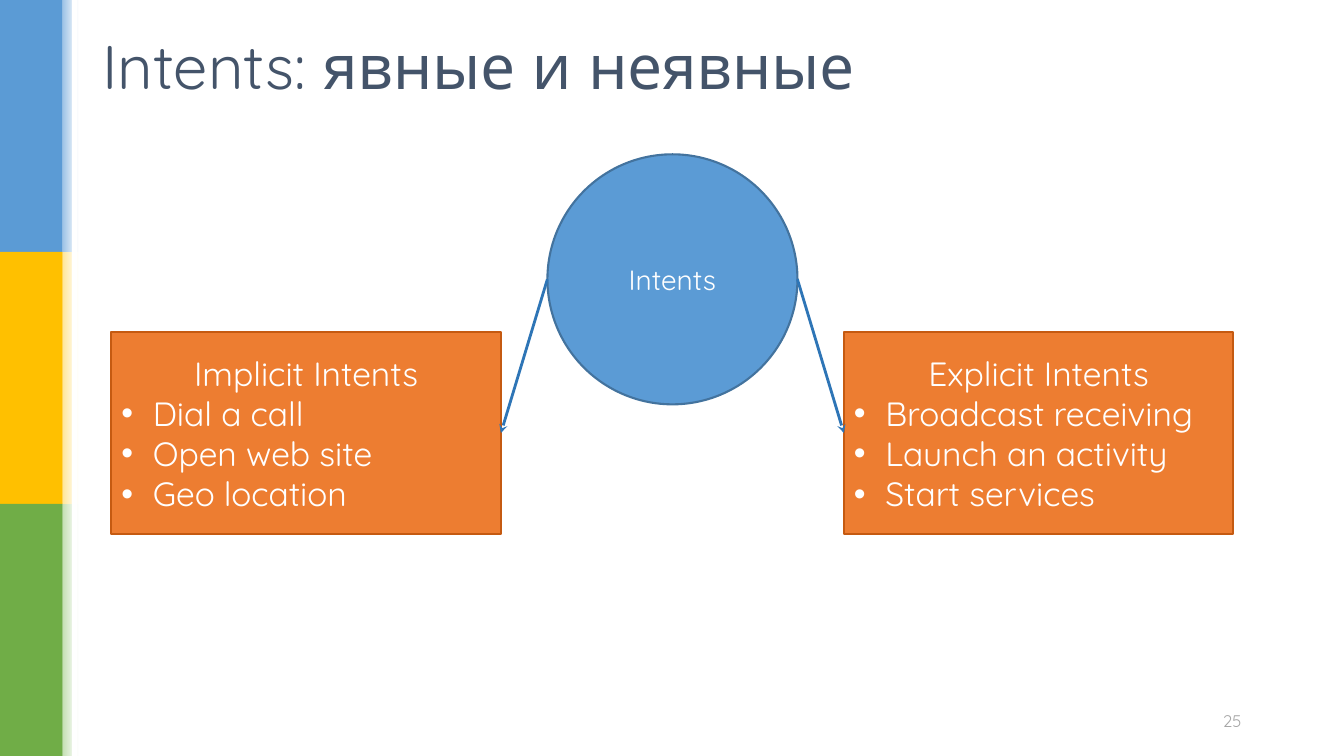
from lxml.etree import SubElement
from pptx import Presentation
from pptx.dml.color import RGBColor as Rgb
from pptx.enum.shapes import MSO_CONNECTOR as Connector, MSO_SHAPE as Shape
from pptx.enum.text import MSO_ANCHOR as Anchor, PP_ALIGN as Align
from pptx.oxml.ns import qn
from pptx.util import Pt

# Content
TITLE = "Intents: явные и неявные"
PAGE = "25"
HUB = "Intents"
KINDS = [
    ("Implicit Intents", ["Dial a call", "Open web site", "Geo location"]),
    ("Explicit Intents", ["Broadcast receiving", "Launch an activity", "Start services"]),
]
STRIPES = [("5B9BD5", "9DC3E6"), ("FFC000", "FFE699"), ("70AD47", "C5E0B4")]

THEME = {
    "font": "Quicksand",
    "white": "FFFFFF", "title": "44546A", "page": "A5A5A5",
    "hub": "5B9BD5", "hub_line": "43739E",
    "card": "ED7D31", "card_line": "C55A11", "arrow": "2E75B6",
    "title_size": 44, "card_size": 24, "hub_size": 20, "page_size": 12,
    "outline": 1.5, "arrow_width": 2,
}

# Geometry in points
WIDTH, HEIGHT = 960, 540
STRIPE_W, GLOW_W = 44.8, 11.5
HUB_X, HUB_Y, HUB_D = 391, 110.2, 178.6
CARD_Y, CARD_W, CARD_H = 237.4, 278.2, 143.8
CARD_GAP = 245
BULLET_INDENT = 22.5

deck = Presentation()
deck.slide_width, deck.slide_height = Pt(WIDTH), Pt(HEIGHT)
slide = deck.slides.add_slide(deck.slide_layouts[6])


def set_all(target, values):
    for name, value in values.items():
        setattr(target, name, value)


def color(name):
    return Rgb.from_string(THEME.get(name, name))


def add_block(kind, box, fill, line=None):
    block = slide.shapes.add_shape(kind, *map(Pt, box))
    block.shadow.inherit = False
    block.fill.solid()
    block.fill.fore_color.rgb = color(fill)
    if line:
        block.line.color.rgb = color(line)
        block.line.width = Pt(THEME["outline"])
    else:
        block.line.fill.background()
    return block


def write(holder, lines, size, ink, align, spacing=1.0):
    frame = holder.text_frame
    set_all(frame, {"word_wrap": True, "vertical_anchor": Anchor.MIDDLE})
    frame.text = "\n".join(lines)
    for paragraph in frame.paragraphs:
        set_all(paragraph, {"alignment": align, "line_spacing": spacing})
        set_all(paragraph.font, {"name": THEME["font"], "size": Pt(THEME[size])})
        paragraph.font.color.rgb = color(ink)
    return frame.paragraphs


def add_bullet(paragraph):
    paragraph.alignment = Align.LEFT
    props = paragraph._p.get_or_add_pPr()
    props.set("marL", str(Pt(BULLET_INDENT)))
    props.set("indent", str(-Pt(BULLET_INDENT)))
    font = props.find(qn("a:defRPr"))
    for tag, key, value in [("a:buFont", "typeface", "Arial"), ("a:buChar", "char", "•")]:
        bullet = SubElement(props, qn(tag))
        bullet.set(key, value)
        if font is not None:
            font.addprevious(bullet)


def add_arrow(start, end):
    arrow = slide.shapes.add_connector(Connector.STRAIGHT, *map(Pt, start + end))
    arrow.line.color.rgb = color("arrow")
    arrow.line.width = Pt(THEME["arrow_width"])
    SubElement(arrow.line._get_or_add_ln(), qn("a:tailEnd")).set("type", "stealth")
    SubElement(arrow._element.spPr, qn("a:effectLst"))


# Side stripes with a fading edge
stripe_h = HEIGHT / len(STRIPES)
for row, (solid, pale) in enumerate(STRIPES):
    top = row * stripe_h
    add_block(Shape.RECTANGLE, (0, top, STRIPE_W, stripe_h), solid)
    glow = add_block(Shape.RECTANGLE, (STRIPE_W, top, GLOW_W, stripe_h), pale)
    glow.fill.gradient()
    glow.fill.gradient_angle = 0
    for stop, shade in zip(glow.fill.gradient_stops, (pale, "white")):
        stop.color.rgb = color(shade)
add_block(Shape.RECTANGLE, (51.4, 0, 3.6, HEIGHT), "white")

# Title and page number
title = slide.shapes.add_textbox(*map(Pt, (66, 10.8, 828, 77.8)))
write(title, [TITLE], "title_size", "title", Align.LEFT, 0.9)
page = slide.shapes.add_textbox(*map(Pt, (636, 500.5, 258, 28.8)))
write(page, [PAGE], "page_size", "page", Align.RIGHT)

# Hub
hub = add_block(Shape.OVAL, (HUB_X, HUB_Y, HUB_D, HUB_D), "hub", "hub_line")
write(hub, [HUB], "hub_size", "white", Align.CENTER)

# Cards mirrored about the hub, each with its arrow
hub_center = HUB_X + HUB_D / 2
for side, (heading, examples) in zip((-1, 1), KINDS):
    inner_x = hub_center + side * CARD_GAP / 2
    left = min(inner_x, inner_x + side * CARD_W)
    card = add_block(Shape.RECTANGLE, (left, CARD_Y, CARD_W, CARD_H), "card", "card_line")
    lines = write(card, [heading] + examples, "card_size", "white", Align.CENTER)
    for example in lines[1:]:
        add_bullet(example)
    add_arrow((hub_center + side * HUB_D / 2, HUB_Y + HUB_D / 2),
              (inner_x, CARD_Y + CARD_H / 2))

deck.save("out.pptx")
